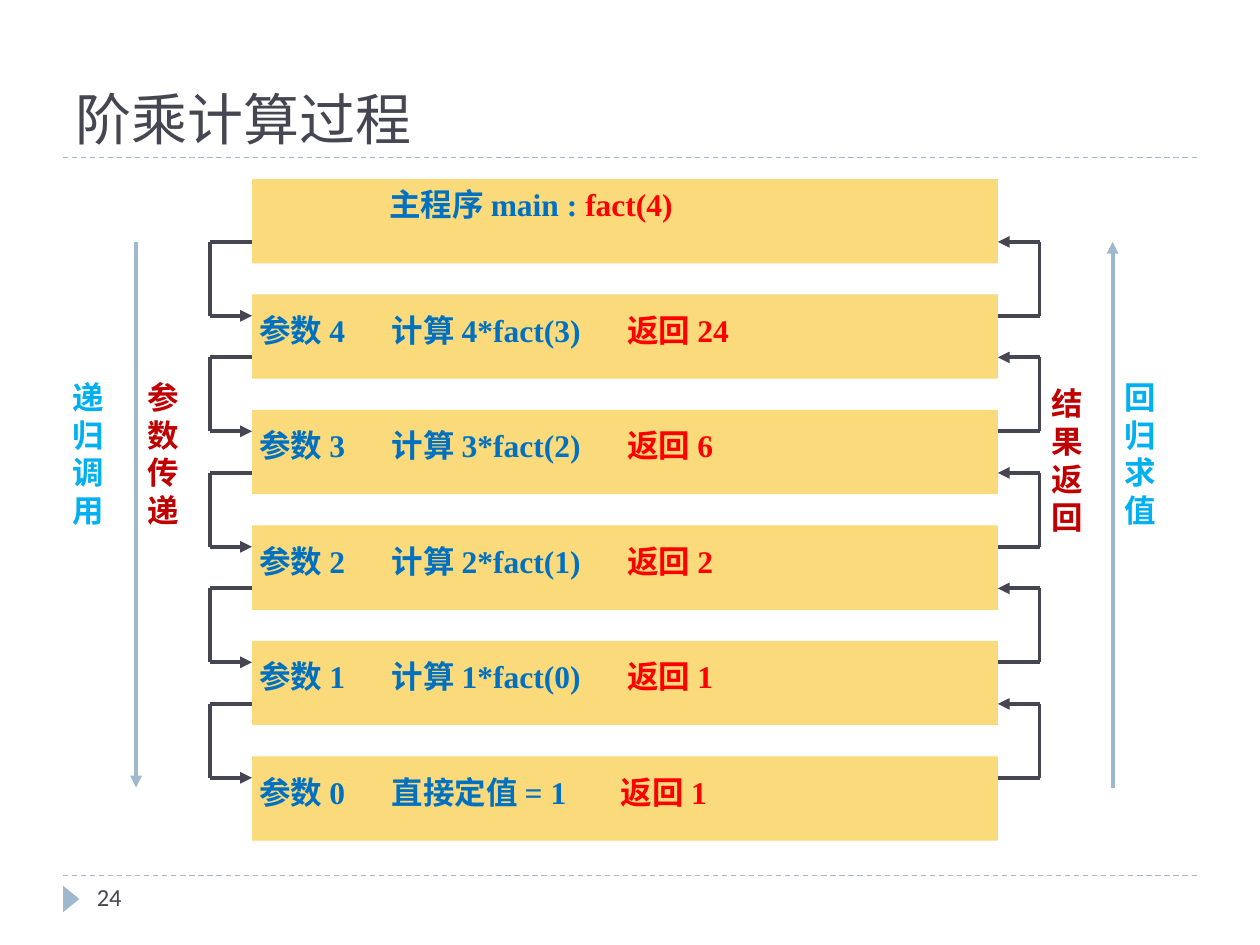
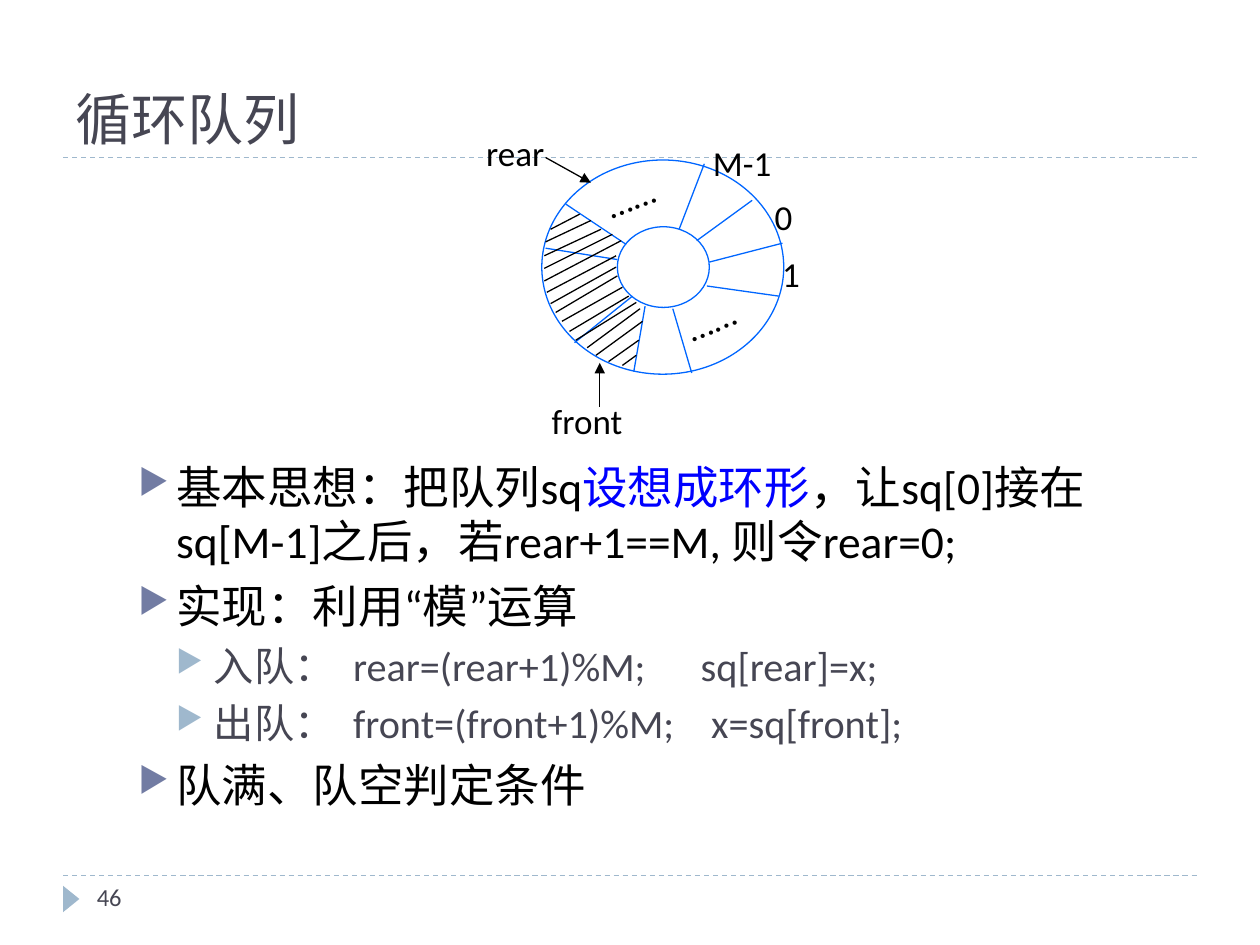
from lxml import etree
from pptx import Presentation
from pptx.dml.color import RGBColor
from pptx.enum import dml, shapes, text
from pptx.oxml import ns
from pptx.util import Inches, Pt

INK = RGBColor(0x46, 0x46, 0x53)
MIST = RGBColor(0x9F, 0xB8, 0xCD)
SLATE = RGBColor(0x72, 0x7C, 0xA3)
SAND = RGBColor(0xFA, 0xDA, 0x7A)
BLUE = RGBColor(0x00, 0x70, 0xC0)
SKY = RGBColor(0x00, 0xB0, 0xF0)
RED = RGBColor(0xFF, 0x00, 0x00)
CRIMSON = RGBColor(0xC0, 0x00, 0x00)
RING_BLUE = RGBColor(0x00, 0x66, 0xFF)
PURE_BLUE = RGBColor(0x00, 0x00, 0xFF)
BLACK = RGBColor(0x00, 0x00, 0x00)

TITLE_FONT = "Noto Sans CJK SC"
BODY_FONT = "Calibri"
STACK_FONT = "Times New Roman"

STACK_ROWS = [
    ("参数 4", "计算 4*fact(3)", "返回 24", 2.92),
    ("参数 3", "计算 3*fact(2)", "返回 6", 2.92),
    ("参数 2", "计算 2*fact(1)", "返回 2", 2.92),
    ("参数 1", "计算 1*fact(0)", "返回 1", 2.92),
    ("参数 0", "直接定值 = 1", "返回 1", 2.87),
]
SPOKES = [
    (1.04, 1.18, 1.19, 1.69), (0.82, 1.16, 0.73, 1.68), (0.72, 1.08, 0.26, 1.45),
    (0.67, 0.67, 0.19, 0.35), (1.29, 0.03, 1.09, 0.55), (1.23, 0.64, 1.67, 0.32),
    (1.33, 0.81, 1.91, 0.66), (1.31, 1.0, 1.88, 1.08), (0.6, 0.79, 0.03, 0.7),
]
HATCHES = [
    (0.07, 0.55, 0.3, 0.43), (0.03, 0.65, 0.39, 0.48), (0.02, 0.76, 0.47, 0.55),
    (0.02, 0.86, 0.56, 0.59), (0.02, 0.96, 0.63, 0.64), (0.04, 1.05, 0.59, 0.76),
    (0.07, 1.14, 0.59, 0.85), (0.11, 1.21, 0.6, 0.92), (0.16, 1.28, 0.64, 1.01),
    (0.22, 1.36, 0.69, 1.08), (0.27, 1.43, 0.75, 1.13), (0.36, 1.49, 0.78, 1.18),
    (0.43, 1.55, 0.8, 1.28), (0.53, 1.6, 0.77, 1.43), (0.64, 1.63, 0.75, 1.55),
]
POINTERS = [(0.46, 1.96, 0.46, 1.61), (0.03, -0.02, 0.39, 0.18)]
RING_LABELS = [
    ("0", 1.75, 0.23, 0.36, 0), ("M-1", 1.26, -0.2, 0.7, 0),
    ("1", 1.81, 0.68, 0.36, 0), ("front", -0.02, 1.85, 0.85, 0),
    ("rear", -0.54, -0.28, 0.74, 0),
    ("…...", 0.4, 0.07, 0.64, -21.6), ("…...", 1.04, 1.04, 0.64, -21.6),
]


def add_child(parent, tag, **attributes):
    return etree.SubElement(parent, ns.qn(tag), attributes)


def add_span(para, words, size=18, color=BLACK, font=BODY_FONT, bold=False, tracking=0):
    span = para.add_run()
    span.text = words
    span.font.size = Pt(size)
    span.font.name = font
    span.font.bold = bold
    span.font.color.rgb = color
    properties = span.font._element
    east_asian = TITLE_FONT if font == TITLE_FONT else BODY_FONT
    add_child(properties, "a:ea", typeface=east_asian)
    if tracking:
        properties.set("spc", str(round(tracking * 100)))


def add_text(page, box, spans, wrap=True, anchor=text.MSO_ANCHOR.TOP, turn=0, tabs=(), **style):
    holder = page.shapes.add_textbox(*map(Inches, box))
    holder.rotation = turn
    frame = holder.text_frame
    frame.word_wrap = wrap
    frame.vertical_anchor = anchor
    para = frame.paragraphs[0]
    if tabs:
        stops = add_child(para._p.get_or_add_pPr(), "a:tabLst")
        for stop in tabs:
            add_child(stops, "a:tab", pos=str(Inches(stop)), algn="l")
    for words, color in spans:
        add_span(para, words, color=color, **style)
    return frame


def add_line(page, x1, y1, x2, y2, color, width, arrow=False, dash=None):
    line = page.shapes.add_connector(
        shapes.MSO_CONNECTOR.STRAIGHT, *map(Inches, (x1, y1, x2, y2)))
    line.line.color.rgb = color
    line.line.width = Pt(width)
    if dash:
        line.line.dash_style = dash
    if arrow:
        add_child(line.line._get_or_add_ln(), "a:tailEnd", type="triangle")
    add_child(line._element.spPr, "a:effectLst")


def add_figure(page, kind, box, fill=None, outline=None):
    figure = page.shapes.add_shape(kind, *map(Inches, box))
    figure.shadow.inherit = False
    if fill is None:
        figure.fill.background()
    else:
        figure.fill.solid()
        figure.fill.fore_color.rgb = fill
    if outline is None:
        figure.line.fill.background()
    else:
        figure.line.color.rgb = outline
        figure.line.width = Pt(0.75)
    return figure


def add_page(deck, title, number):
    page = deck.slides.add_slide(deck.slide_layouts[6])
    for y in (6.95, 1.25):
        add_line(page, 0.5, y, 9.5, y, MIST, 0.75, dash=dml.MSO_LINE.DASH)
    marker = add_figure(
        page, shapes.MSO_SHAPE.ISOSCELES_TRIANGLE, (0.46, 7.07, 0.21, 0.13), MIST)
    marker.rotation = 90
    add_text(page, (0.5, 0.17, 9, 1.08), [(title, INK)], size=32, font=TITLE_FONT,
             anchor=text.MSO_ANCHOR.BOTTOM)
    add_text(page, (0.67, 6.95, 2.17, 0.4), [(number, INK)], size=14)
    return page


def add_bracket(page, start_x, outer_x, start_y, end_y):
    add_line(page, start_x, start_y, outer_x, start_y, INK, 2.25)
    add_line(page, outer_x, start_y, outer_x, end_y, INK, 2.25)
    add_line(page, outer_x, end_y, start_x, end_y, INK, 2.25, arrow=True)


def add_call_stack(page, left, top, width):
    height, reach = 0.67, 0.33
    right = left + width
    pitch = 11 / 12
    style = dict(size=18, font=STACK_FONT, bold=True)
    bar = shapes.MSO_SHAPE.RECTANGLE
    add_figure(page, bar, (left, top, width, height), SAND)
    add_text(page, (left + 0.99, top, 2.6, 0.4),
             [("主程序 main : ", BLUE), ("fact(4)", RED)], **style)
    for index, (argument, work, result, result_x) in enumerate(STACK_ROWS, 1):
        y = top + index * pitch
        add_figure(page, bar, (left, y, width, height), SAND)
        add_text(page, (left - 0.04, y + 0.08, 4.4, 0.4),
                 [(f"{argument}\t{work}\t", BLUE), (result, RED)],
                 tabs=(1.05, result_x), **style)
        upper, lower = y - pitch + 0.5, y + 0.17
        add_bracket(page, left, left - reach, upper, lower)
        add_bracket(page, right, right + reach, lower, upper)


def add_flow_labels(page, top, bottom):
    add_line(page, 1.08, top, 1.08, bottom, MIST, 2.25, arrow=True)
    add_line(page, 8.83, bottom, 8.83, top, MIST, 2.25, arrow=True)
    labels = [
        ("递归调用", 0.48, 1.03, 0.68, SKY), ("参数传递", 1.07, 1.03, 0.68, CRIMSON),
        ("结果返回", 8.25, 1.08, 0.6, CRIMSON), ("回归求值", 8.83, 1.03, 0.68, SKY),
    ]
    for words, x, drop, width, color in labels:
        add_text(page, (x, top + drop, width, 1.3), [(words, color)],
                 size=18, font=STACK_FONT, bold=True)


def add_ring(page, left, top):
    for box in ((left, top, 1.92, 1.7), (left + 0.6, top + 0.53, 0.73, 0.64)):
        add_figure(page, shapes.MSO_SHAPE.OVAL, box, outline=RING_BLUE)
    for lines, color, arrow in (
            (SPOKES, RING_BLUE, False), (HATCHES, BLACK, False), (POINTERS, BLACK, True)):
        for x1, y1, x2, y2 in lines:
            add_line(page, left + x1, top + y1, left + x2, top + y2, color, 0.75, arrow)
    for words, x, y, width, turn in RING_LABELS:
        add_text(page, (left + x, top + y, width, 0.44), [(words, BLACK)], size=20,
                 wrap=False, anchor=text.MSO_ANCHOR.MIDDLE, turn=turn)


def set_bullet(para, level, color):
    para.level = level
    properties = para._p.get_or_add_pPr()
    properties.set("marL", str(Inches(0.3 * (level + 1))))
    properties.set("indent", str(Inches(-0.3)))
    add_child(add_child(properties, "a:buClr"), "a:srgbClr", val=str(color))
    add_child(properties, "a:buSzPct", val="76000")
    add_child(properties, "a:buChar", char="▶")


def add_queue_notes(page, box):
    items = [
        (0, [("基本思想：把队列sq", {}), ("设想成环形", {"color": PURE_BLUE}),
             ("，让sq[0]接在sq[M-1]之后，若rear+1==M, 则令rear=0;", {})]),
        (0, [("实现：利用“模”运算", {})]),
        (1, [("入队：", {}), (" ", {"tracking": 5.2}), ("rear=(rear+1)%M;", {}),
             (" ", {"tracking": 26}), ("sq[rear]=x;", {})]),
        (1, [("出队：", {}), (" ", {"tracking": 5.2}), ("front=(front+1)%M;", {}),
             (" ", {"tracking": 15.6}), ("x=sq[front];", {})]),
        (0, [("队满、队空判定条件", {})]),
    ]
    levels = [(SLATE, 6, 26, BLACK), (MIST, 5, 23, INK)]
    frame = add_text(page, box, [])
    for index, (level, spans) in enumerate(items):
        bullet_color, space, size, color = levels[level]
        para = frame.add_paragraph() if index else frame.paragraphs[0]
        set_bullet(para, level, bullet_color)
        if index:
            para.space_before = Pt(space)
        for words, changes in spans:
            add_span(para, words, **{"size": size, "color": color, **changes})


def main():
    deck = Presentation()
    deck.slide_width, deck.slide_height = Inches(10), Inches(7.5)

    factorial = add_page(deck, "阶乘计算过程", "24")
    add_call_stack(factorial, 2, 1.42, 5.92)
    add_flow_labels(factorial, 1.92, 6.25)

    queue = add_page(deck, "循环队列", "46")
    add_queue_notes(queue, (1, 3.59, 8.83, 3.32))
    add_ring(queue, 4.3, 1.27)

    deck.save("out.pptx")


if __name__ == "__main__":
    main()
